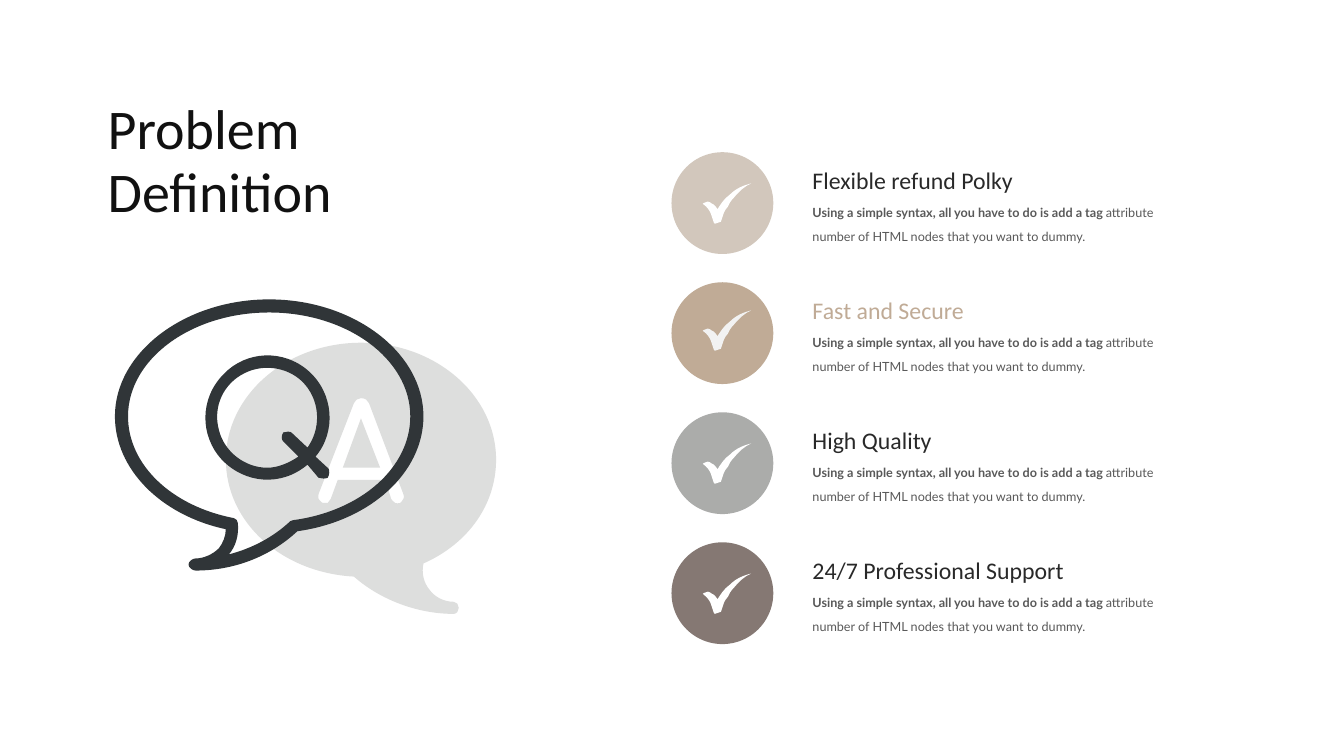
from lxml.etree import SubElement
from pptx import Presentation
from pptx.dml.color import RGBColor
from pptx.enum.shapes import MSO_SHAPE
from pptx.enum.text import MSO_AUTO_SIZE
from pptx.oxml.ns import qn
from pptx.util import Inches, Pt

COLORS = {
    "title": "111111", "heading": "292929", "body": "595959", "tan": "C0AB96",
    "sand": "D2C7BC", "gray": "ABACAA", "brown": "857873", "white": "FFFFFF",
    "off_white": "F2F2F2", "answer": "DDDEDD", "question": "303538",
}

ANSWER_BUBBLE = [
    [(3.58, 4.15), (3.77, 4.64), (3.4, 4.64)],
    [(4.2, 5.59), (4.18, 5.68, 4.2, 5.78, 4.26, 5.85), (4.31, 5.92, 4.4, 5.97, 4.5, 5.97),
     (4.53, 5.97, 4.55, 6, 4.55, 6.03), (4.55, 6.06, 4.53, 6.09, 4.5, 6.09),
     (4.14, 6.09, 3.77, 5.95, 3.51, 5.72), (2.79, 5.68, 2.24, 5.18, 2.24, 4.56),
     (2.24, 3.92, 2.84, 3.4, 3.58, 3.4), (4.32, 3.4, 4.92, 3.92, 4.92, 4.56),
     (4.92, 5, 4.65, 5.39, 4.2, 5.59)],
    [(4, 4.9), (3.66, 4), (3.65, 3.97, 3.62, 3.95, 3.58, 3.95),
     (3.55, 3.95, 3.52, 3.97, 3.51, 4), (3.16, 4.9), (3.15, 4.92, 3.16, 4.94, 3.16, 4.95),
     (3.17, 4.97, 3.19, 4.98, 3.2, 4.99), (3.21, 4.99, 3.23, 4.99, 3.25, 4.99),
     (3.26, 4.98, 3.27, 4.96, 3.28, 4.95), (3.35, 4.76), (3.82, 4.76), (3.88, 4.95),
     (3.89, 4.96, 3.9, 4.98, 3.92, 4.99), (3.93, 4.99, 3.95, 5, 3.97, 4.99),
     (3.98, 4.98, 3.99, 4.97, 4, 4.95), (4.01, 4.94, 4.01, 4.92, 4, 4.9)],
]

QUESTION_BUBBLE = [
    [(2.67, 2.97), (1.83, 2.97, 1.14, 3.5, 1.14, 4.13), (1.14, 4.65, 1.59, 5.11, 2.24, 5.25),
     (2.24, 5.32, 2.21, 5.39, 2.17, 5.44), (2.11, 5.5, 2.02, 5.54, 1.94, 5.54),
     (1.91, 5.54, 1.87, 5.57, 1.87, 5.6), (1.87, 5.63, 1.91, 5.66, 1.94, 5.66),
     (2.31, 5.66, 2.67, 5.53, 2.95, 5.27), (3.67, 5.17, 4.2, 4.69, 4.2, 4.13),
     (4.2, 3.5, 3.51, 2.97, 2.67, 2.97)],
    [(2.91, 5.16), (2.9, 5.16, 2.89, 5.16, 2.88, 5.17), (2.71, 5.33, 2.5, 5.44, 2.27, 5.5),
     (2.34, 5.42, 2.37, 5.31, 2.36, 5.19), (2.36, 5.16, 2.34, 5.15, 2.32, 5.14),
     (1.7, 5.02, 1.27, 4.61, 1.27, 4.13), (1.27, 3.56, 1.9, 3.1, 2.67, 3.1),
     (3.44, 3.1, 4.07, 3.56, 4.07, 4.13), (4.07, 4.64, 3.58, 5.07, 2.91, 5.16)],
    [(3.13, 4.53), (3.34, 4.28, 3.31, 3.9, 3.06, 3.68), (2.81, 3.46, 2.44, 3.48, 2.22, 3.71),
     (1.98, 3.95, 1.98, 4.32, 2.2, 4.56), (2.43, 4.8, 2.79, 4.83, 3.05, 4.61), (3.16, 4.74),
     (3.19, 4.75, 3.23, 4.75, 3.25, 4.74), (3.27, 4.71, 3.27, 4.67, 3.26, 4.65)],
    [(2.65, 4.64), (2.43, 4.64, 2.22, 4.48, 2.17, 4.26), (2.11, 4.03, 2.22, 3.8, 2.43, 3.7),
     (2.63, 3.6, 2.89, 3.65, 3.03, 3.82), (3.18, 4, 3.18, 4.26, 3.05, 4.44), (2.89, 4.29),
     (2.88, 4.28, 2.84, 4.28, 2.81, 4.29), (2.79, 4.32, 2.79, 4.36, 2.81, 4.38),
     (2.96, 4.53), (2.87, 4.59, 2.76, 4.64, 2.65, 4.64)],
]

CHECK_MARK = [
    [(0.09, 0.2), (0.08, 0.19, 0.06, 0.18, 0.05, 0.18), (0.03, 0.19, 0.01, 0.19, 0, 0.2),
     (0.01, 0.21), (0.04, 0.23, 0.07, 0.27, 0.08, 0.3),
     (0.09, 0.33, 0.1, 0.36, 0.11, 0.39), (0.12, 0.4), (0.18, 0.38), (0.21, 0.29),
     (0.22, 0.27, 0.23, 0.25, 0.25, 0.23), (0.27, 0.19),
     (0.29, 0.16, 0.3, 0.15, 0.31, 0.14), (0.36, 0.08, 0.41, 0.03, 0.48, 0),
     (0.4, 0.02, 0.33, 0.05, 0.27, 0.11), (0.21, 0.15, 0.17, 0.22, 0.15, 0.25),
     (0.15, 0.26), (0.13, 0.23, 0.12, 0.22, 0.11, 0.21)],
]

ROWS = [
    ("Flexible refund Polky", "heading", "sand", "white", 0.31),
    ("Fast and Secure", "tan", "tan", "off_white", 0.28),
    ("High Quality", "heading", "gray", "white", 0.31),
    ("24/7 Professional Support", "heading", "brown", "white", 0.31),
]
BODY = [
    ("Using a simple syntax, all you have to do is add a tag ", True),
    ("attribute number of HTML nodes that you want to dummy.", False),
]
FIRST_ROW_TOP = 1.51
ROW_STEP = 1.29


def paint(shape, color):
    shape.shadow.inherit = False
    shape.fill.solid()
    shape.fill.fore_color.rgb = RGBColor.from_string(COLORS[color])
    shape.line.fill.background()


def bend_segments(shape, contours, left, top):
    segments = [segment for contour in contours for segment in contour[1:]]
    lines = list(shape._element.iter(qn("a:lnTo")))
    for line, segment in zip(lines, segments):
        if len(segment) == 2:
            continue
        line.tag = qn("a:cubicBezTo")
        line.remove(line[0])
        for x, y in zip(segment[::2], segment[1::2]):
            SubElement(line, qn("a:pt"), x=str(Inches(left + x) - shape.left),
                       y=str(Inches(top + y) - shape.top))


def add_outline(group, contours, color, left=0, top=0):
    builder = None
    for contour in contours:
        ends = [(Inches(left + segment[-2]), Inches(top + segment[-1])) for segment in contour]
        if builder is None:
            builder = group.shapes.build_freeform(*ends[0], scale=1.0)
        else:
            builder.move_to(*ends[0])
        builder.add_line_segments(ends[1:], close=True)
    shape = builder.convert_to_shape()
    bend_segments(shape, contours, left, top)
    paint(shape, color)


def add_badge(page, top, circle_color, check_color, check_offset):
    group = page.shapes.add_group_shape()
    circle = group.shapes.add_shape(
        MSO_SHAPE.OVAL, Inches(6.66), Inches(top), Inches(1.01), Inches(1.01))
    paint(circle, circle_color)
    add_outline(group, CHECK_MARK, check_color, 6.97, top + check_offset)


def add_text(page, place, paragraphs, size, font, color, spacing=None):
    box = page.shapes.add_textbox(*map(Inches, place))
    frame = box.text_frame
    frame.word_wrap = True
    frame.auto_size = MSO_AUTO_SIZE.SHAPE_TO_FIT_TEXT
    for index, spans in enumerate(paragraphs):
        para = frame.add_paragraph() if index else frame.paragraphs[0]
        if spacing:
            para.line_spacing = Pt(spacing)
        for text, bold in spans:
            span = para.add_run()
            span.text = text
            span.font.name = font
            span.font.size = Pt(size)
            span.font.bold = bold
            span.font.color.rgb = RGBColor.from_string(COLORS[color])


def main():
    deck = Presentation()
    deck.slide_width = Inches(13.33)
    deck.slide_height = Inches(7.5)
    page = deck.slides.add_slide(deck.slide_layouts[6])

    bubbles = page.shapes.add_group_shape()
    add_outline(bubbles, ANSWER_BUBBLE, "answer")
    add_outline(bubbles, QUESTION_BUBBLE, "question")

    for index, (heading, heading_color, circle, check, check_offset) in enumerate(ROWS):
        top = FIRST_ROW_TOP + index * ROW_STEP
        add_badge(page, top, circle, check, check_offset)
        add_text(page, (7.96, top + 0.08, 3.79, 0.39), [[(heading, False)]],
                 17, "Calibri", heading_color)
        add_text(page, (7.96, top + 0.39, 3.79, 0.55), [BODY], 9, "Lato", "body", 17)

    title = [[("Problem", False)], [("Definition", False)]]
    add_text(page, (0.97, 0.92, 4.38, 1.36), title, 40, "Calibri", "title", 45)
    deck.save("out.pptx")


if __name__ == "__main__":
    main()
